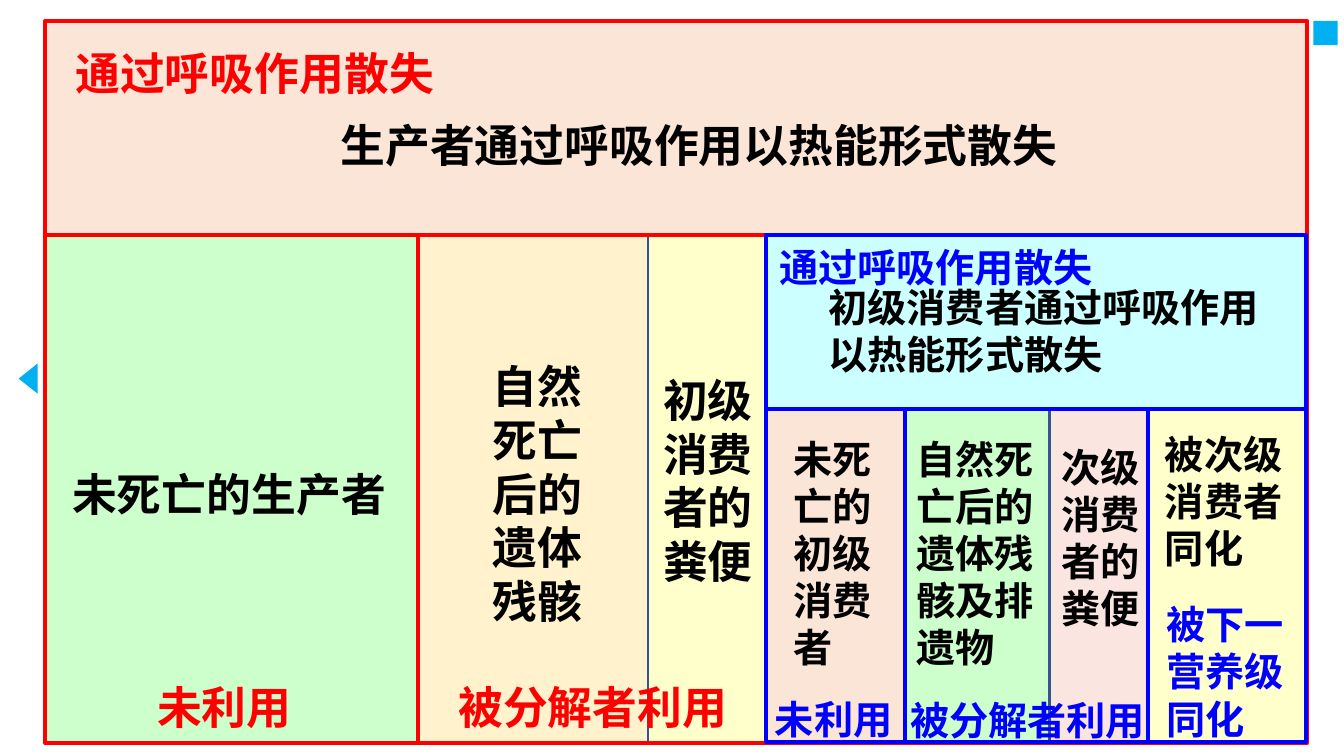
from dataclasses import dataclass
from itertools import pairwise
from pptx import Presentation
from pptx.dml.color import RGBColor
from pptx.enum.shapes import MSO_SHAPE
from pptx.enum.text import MSO_ANCHOR, PP_ALIGN
from pptx.oxml.ns import qn
from pptx.util import Cm, Pt
from lxml.etree import SubElement


@dataclass(frozen=True)
class Theme:
    font: str = "Noto Sans CJK SC"
    producer_size: int = 32
    consumer_size: int = 28
    leading: float = 1.2
    divider_width: float = 2
    frame_width: float = 3
    black: str = "000000"
    red: str = "FF0000"
    blue: str = "0000FF"
    navy: str = "325491"
    marker: str = "00B0F0"
    peach: str = "FBE5D6"
    rose: str = "FBE5E0"
    cream: str = "FFF2CC"
    yellow: str = "FFFFCC"
    green: str = "CCFFCC"
    cyan: str = "CCFFFF"


THEME = Theme()


def block(slide, box, fill=None, line=None, width=0, kind=MSO_SHAPE.RECTANGLE):
    shape = slide.shapes.add_shape(kind, *map(Cm, box))
    shape.shadow.inherit = False
    if fill:
        shape.fill.solid()
        shape.fill.fore_color.rgb = RGBColor.from_string(fill)
    else:
        shape.fill.background()
    if line:
        shape.line.color.rgb = RGBColor.from_string(line)
        shape.line.width = Pt(width)
    else:
        shape.line.fill.background()
    return shape


def label(slide, box, lines, size, color, wrap):
    frame = slide.shapes.add_textbox(*map(Cm, box)).text_frame
    frame.word_wrap = wrap
    frame.vertical_anchor = MSO_ANCHOR.TOP
    frame.margin_top = Cm(0.25)
    frame.margin_bottom = 0
    for number, line in enumerate(lines):
        paragraph = frame.add_paragraph() if number else frame.paragraphs[0]
        paragraph.alignment = PP_ALIGN.LEFT
        paragraph.line_spacing = Pt(round(size * THEME.leading, 1))
        run = paragraph.add_run()
        run.text = line
        run.font.name = THEME.font
        run.font.size = Pt(size)
        run.font.bold = True
        run.font.color.rgb = RGBColor.from_string(color)
        SubElement(run.font._element, qn("a:ea")).set("typeface", THEME.font)


def labels(slide, box, entries, size):
    """Each entry: left, top, width, height from the box, lines, colour, wrap."""
    for left, top, width, height, lines, color, wrap in entries:
        place = (box[0] + left, box[1] + top, width, height)
        label(slide, place, lines, size, color, wrap)


def energy_grid(slide, box, band, edges, fills, groups, frame_color):
    """Respiration band above columns; groups are framed ranges of edges."""
    left, top, width, height = box
    below, depth = top + band, height - band
    block(slide, (left, top, width, band), fills[0], THEME.navy, THEME.divider_width)
    for (start, end), fill in zip(pairwise(edges), fills[1:]):
        block(slide, (left + start, below, end - start, depth), fill,
              THEME.navy, THEME.divider_width)
    block(slide, (left, top, width, band), None, frame_color, THEME.frame_width)
    for start, end in groups:
        block(slide, (left + start, below, end - start, depth), None,
              frame_color, THEME.frame_width)


def producer_level(slide, box):
    alive, remains, faeces, consumed, right = edges = (0, 9.4, 15.19, 18.18, box[2])
    energy_grid(slide, box, 5.4, edges,
                (THEME.peach, THEME.green, THEME.cream, THEME.yellow, THEME.cyan),
                ((alive, remains), (remains, consumed), (consumed, right)), THEME.red)
    labels(slide, box, (
        (0.51, 0.36, 9.63, 1.63, ["通过呼吸作用散失"], THEME.red, False),
        (7.19, 2.18, 18.75, 1.63, ["生产者通过呼吸作用以热能形式散失"], THEME.black, False),
        (0.43, 10.97, 8.48, 1.63, ["未死亡的生产者"], THEME.black, False),
        (11.02, 8.26, 2.79, 7.09, ["自然", "死亡", "后的", "遗体", "残骸"], THEME.black, False),
        (15.32, 8.61, 2.79, 5.74, ["初级", "消费", "者的", "粪便"], THEME.black, False),
        (2.57, 16.36, 3.94, 1.63, ["未利用"], THEME.red, False),
        (10.16, 16.36, 7.34, 1.63, ["被分解者利用"], THEME.red, False),
    ), THEME.producer_size)


def consumer_level(slide, box):
    alive, remains, faeces, consumed, right = edges = (0, 3.5, 7.14, 9.63, box[2])
    energy_grid(slide, box, 4.39, edges,
                (THEME.cyan, THEME.peach, THEME.green, THEME.rose, THEME.yellow),
                ((alive, remains), (remains, consumed), (consumed, right)), THEME.blue)
    labels(slide, box, (
        (0.08, -0.05, 8.48, 1.45, ["通过呼吸作用散失"], THEME.blue, False),
        (1.32, 0.97, 11.58, 2.64, ["初级消费者通过呼吸作用以热能形式散失"], THEME.black, True),
        (0.43, 4.8, 3.07, 6.25, ["未死亡的初级消费者"], THEME.black, True),
        (3.53, 4.8, 3.99, 6.25, ["自然死亡后的遗体残骸及排遗物"], THEME.black, True),
        (7.19, 5, 2.69, 5.05, ["次级消费者的粪便"], THEME.black, True),
        (9.8, 4.67, 3.48, 3.84, ["被次级消费者同化"], THEME.black, True),
        (-0.03, 11.35, 3.51, 1.45, ["未利用"], THEME.blue, False),
        (3.38, 11.38, 6.5, 1.45, ["被分解者利用"], THEME.blue, False),
        (9.83, 8.97, 4.01, 3.84, ["被下一营养级同化"], THEME.blue, True),
    ), THEME.consumer_size)


def edge_markers(slide, box):
    left, top, width, height = box
    pointer = block(slide, (left + 0.33, top + 9.3, 0.76, 0.48), THEME.marker,
                    kind=MSO_SHAPE.ISOSCELES_TRIANGLE)
    pointer.rotation = 270
    block(slide, (left + width - 0.77, top + 0.53, 0.61, 0.61), THEME.marker)


deck = Presentation()
deck.slide_width, deck.slide_height = Cm(33.87), Cm(19.05)
slide = deck.slides.add_slide(deck.slide_layouts[6])

producer_level(slide, (1.14, 0.53, 31.8, 18.2))
consumer_level(slide, (19.31, 5.92, 13.6, 12.78))
edge_markers(slide, (0, 0, 33.87, 19.05))

deck.save("out.pptx")
